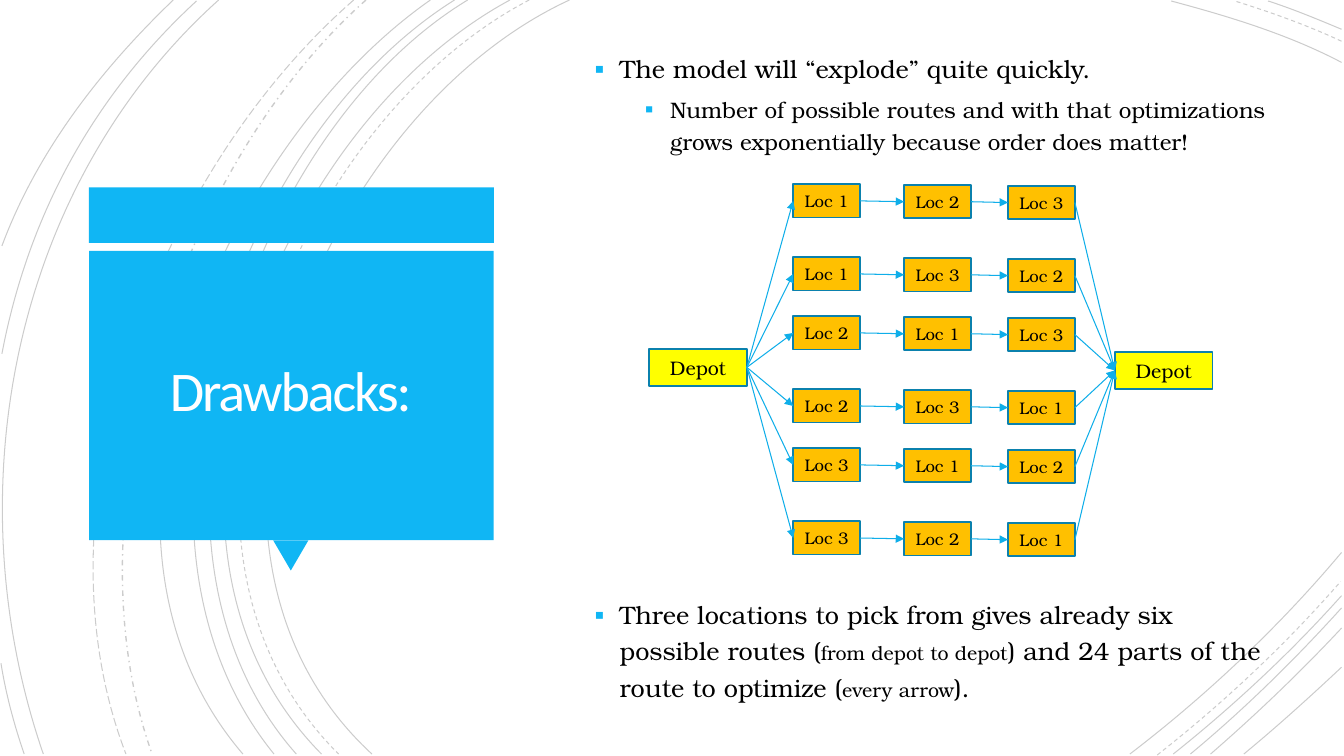
from itertools import permutations
from lxml import etree
from pptx import Presentation, util as u
from pptx.dml.color import RGBColor
from pptx.enum import shapes as sh, text as tx
from pptx.enum.dml import MSO_LINE as dash
from pptx.oxml.ns import qn

SERIF = "TeX Gyre Bonum"
BLUE = "10B6F4"
SOLID = dash.SOLID

ARCS = [
    (406.8, 0, 226.8, 82.8, 103, 388.8, 265.7, 538.6, SOLID),
    (958.3, 44.6, 920.2, 24.5, 877, 11.5, 836.6, 0.7, SOLID),
    (807.1, 538.6, 861.8, 496.8, 913.7, 447.8, 958.3, 394.6, SOLID),
    (378, 0, 205.2, 90, 88.6, 386.6, 241.9, 538.6, dash.DASH),
    (958.3, 29.5, 933.8, 18, 907.2, 8.6, 882, 0.7, dash.DASH),
    (826.6, 539.3, 873.4, 502.6, 918, 460.8, 957.6, 415.4, dash.DASH),
    (364.3, 0, 194.4, 91.4, 79.2, 386.6, 229.7, 538.6, SOLID),
    (958.3, 20.9, 941, 13.7, 923.8, 6.5, 905.8, 0.7, SOLID),
    (838.1, 538.6, 880.6, 504.7, 921.6, 466.6, 958.3, 425.5, SOLID),
    (334.1, 0, 175.7, 95.8, 79.2, 389.5, 211.7, 538.6, SOLID),
    (850.3, 538.6, 888.5, 506.9, 924.5, 471.6, 958.3, 434.2, SOLID),
    (324.7, 0, 166.3, 99.4, 69.8, 383.8, 195.8, 538.6, SOLID),
    (864.7, 538.6, 897.1, 510.5, 928.8, 480.2, 958.3, 448.6, SOLID),
    (307.4, 0, 156.2, 105.8, 38.2, 380.9, 173.5, 538.6, SOLID),
    (888.5, 538.6, 912.2, 519.1, 935.3, 498.2, 958.3, 476.6, SOLID),
    (261.4, 0, 126.7, 119.5, 46.8, 366.5, 108.7, 538.6, dash.DASH_DOT),
    (252.7, 0, 113, 121.7, 20.9, 359.3, 90, 538.6, dash.LONG_DASH),
    (156.2, 0, 7.9, 133.2, -33.1, 352.8, 31, 538.6, SOLID),
    (140.4, 0.7, 66.2, 69.1, 20.2, 154.1, 1.4, 252.7, SOLID),
    (0.7, 473.8, 4.3, 496.1, 10.1, 517.7, 17.3, 538.6, SOLID),
    (123.8, 0, 72, 49.7, 26.6, 108, 1.4, 175.7, SOLID),
]


def paint(form, tone):
    if hasattr(form, "solid"):
        form.solid()
        form = form.fore_color
    form.rgb = RGBColor.from_string(tone)


def node(root, tag, **attrs):
    return etree.SubElement(root, qn(tag), attrs)


def place(item, box):
    item.left, item.top, item.width, item.height = map(u.Pt, box)


def add_run(para, words, size, tone="000000", face=SERIF):
    run = para.add_run()
    run.text = words
    run.font.size = u.Pt(size)
    run.font.name = face
    paint(run.font.color, tone)
    return run


def add_arc(slide, arc):
    *nums, style = arc
    pts = [(u.Pt(x), u.Pt(y)) for x, y in zip(nums[::2], nums[1::2])]
    form = slide.shapes.build_freeform(*pts[0])
    form.add_line_segments(pts[1:], close=False)
    curve = form.convert_to_shape()
    curve.shadow.inherit = False
    curve.fill.background()
    curve.line.width = u.Pt(1 if style == dash.DASH_DOT else 0.75)
    curve.line.dash_style = style
    paint(curve.line.fill, "000000")
    tone = next(curve.element.iter(qn("a:srgbClr")))
    node(tone, "a:alpha", val="20000")
    track = next(curve.element.iter(qn("a:path")))
    bend = node(track, "a:cubicBezTo")
    for step in track.findall(qn("a:lnTo")):
        bend.append(step[0])
        track.remove(step)


def add_box(slide, box, fill, edge=None, kind=sh.MSO_SHAPE.RECTANGLE):
    item = slide.shapes.add_shape(kind, *map(u.Pt, box))
    item.shadow.inherit = False
    paint(item.fill, fill)
    if edge:
        paint(item.line.fill, edge)
        item.line.width = u.Pt(1.25)
    else:
        item.line.fill.background()
    return item


def add_stop(slide, box, words, size, fill):
    stop = add_box(slide, box, fill, "0B81AD")
    frame = stop.text_frame
    frame.vertical_anchor = tx.MSO_ANCHOR.MIDDLE
    para = frame.paragraphs[0]
    para.alignment = tx.PP_ALIGN.CENTER
    add_run(para, words, size)
    return stop


def add_arrow(slide, start, end):
    line = slide.shapes.add_connector(sh.MSO_CONNECTOR.STRAIGHT, 0, 0, 0, 0)
    line.begin_connect(start, 3)
    line.end_connect(end, 1)
    paint(line.line.fill, "0FAEE9")
    line.line.width = u.Pt(0.75)
    node(line.line._get_or_add_ln(), "a:tailEnd", type="triangle")
    node(line.element.spPr, "a:effectLst")


def add_list(slide, box, items):
    area = slide.shapes.add_textbox(*map(u.Pt, box))
    frame = area.text_frame
    frame.word_wrap = True
    frame.vertical_anchor = tx.MSO_ANCHOR.MIDDLE
    for rank, (level, runs) in enumerate(items):
        para = frame.add_paragraph() if rank else frame.paragraphs[0]
        para.level = level
        para.line_spacing = 1.2
        para.space_before = u.Pt(5 if rank else 0)
        props = para._p.get_or_add_pPr()
        props.set("marL", str(u.Pt(18 + 36 * level)))
        props.set("indent", str(u.Pt(-18)))
        node(node(props, "a:buClr"), "a:srgbClr", val=BLUE)
        node(props, "a:buSzPct", val="110000")
        node(props, "a:buFont", typeface="Arial")
        node(props, "a:buChar", char="▪")
        for words, size in runs:
            add_run(para, words, size)


def add_title(slide):
    add_box(slide, (63.4, 133.9, 289.4, 39.6), BLUE)
    tip = add_box(slide, (195.1, 385.9, 25.2, 21.6), BLUE,
                  kind=sh.MSO_SHAPE.ISOSCELES_TRIANGLE)
    tip.rotation = 180
    add_box(slide, (63.7, 179.3, 288.9, 206.6), BLUE)
    title = slide.shapes.title
    place(title, (69.8, 185, 275.8, 193.7))
    frame = title.text_frame
    frame.word_wrap = True
    frame.vertical_anchor = tx.MSO_ANCHOR.MIDDLE
    frame.margin_left = frame.margin_right = u.Pt(18)
    frame.margin_top = frame.margin_bottom = u.Pt(18)
    para = frame.paragraphs[0]
    para.alignment = tx.PP_ALIGN.CENTER
    para.line_spacing = 0.85
    run = add_run(para, "Drawbacks:", 40, "FFFEFF", "Calibri")
    run.font._element.set("spc", "-150")
    title.element.getparent().append(title.element)


def add_routes(slide):
    start = add_stop(slide, (463.7, 249.1, 69.8, 26.6), "Depot", 14, "FFFF00")
    end = add_stop(slide, (796.3, 251.3, 69.8, 26.6), "Depot", 14, "FFFF00")
    for row, order in enumerate(permutations((1, 2, 3))):
        pair, half = divmod(row, 2)
        top = 131.6 + 94.3 * pair + 52.2 * half
        chain = [start]
        for col, (left, num) in enumerate(zip((566.6, 645.8, 720), order)):
            box = (left, top + 0.6 * col, 47.8, 23.8)
            chain.append(add_stop(slide, box, f"Loc {num}", 12, "FFC000"))
        chain.append(end)
        for one, two in zip(chain, chain[1:]):
            add_arrow(slide, one, two)


def main():
    deck = Presentation()
    deck.slide_width, deck.slide_height = u.Pt(960), u.Pt(540)
    slide = deck.slides.add_slide(deck.slide_layouts[5])
    for arc in ARCS:
        add_arc(slide, arc)
    add_title(slide)
    add_list(slide, (417.6, 18.7, 494.6, 107.3), [
        (0, [("The model will “explode” quite quickly.", 18)]),
        (1, [("Number of possible routes and with that optimizations "
              "grows exponentially because order does matter!", 16)]),
    ])
    add_routes(slide)
    add_list(slide, (417.6, 409, 494.6, 107.3), [
        (0, [("Three locations to pick from gives already six "
              "possible routes (", 18), ("from depot to depot", 14),
             (") and 24 parts of the route to optimize (", 18),
             ("every arrow", 14), (").", 18)]),
    ])
    deck.save("out.pptx")


if __name__ == "__main__":
    main()
